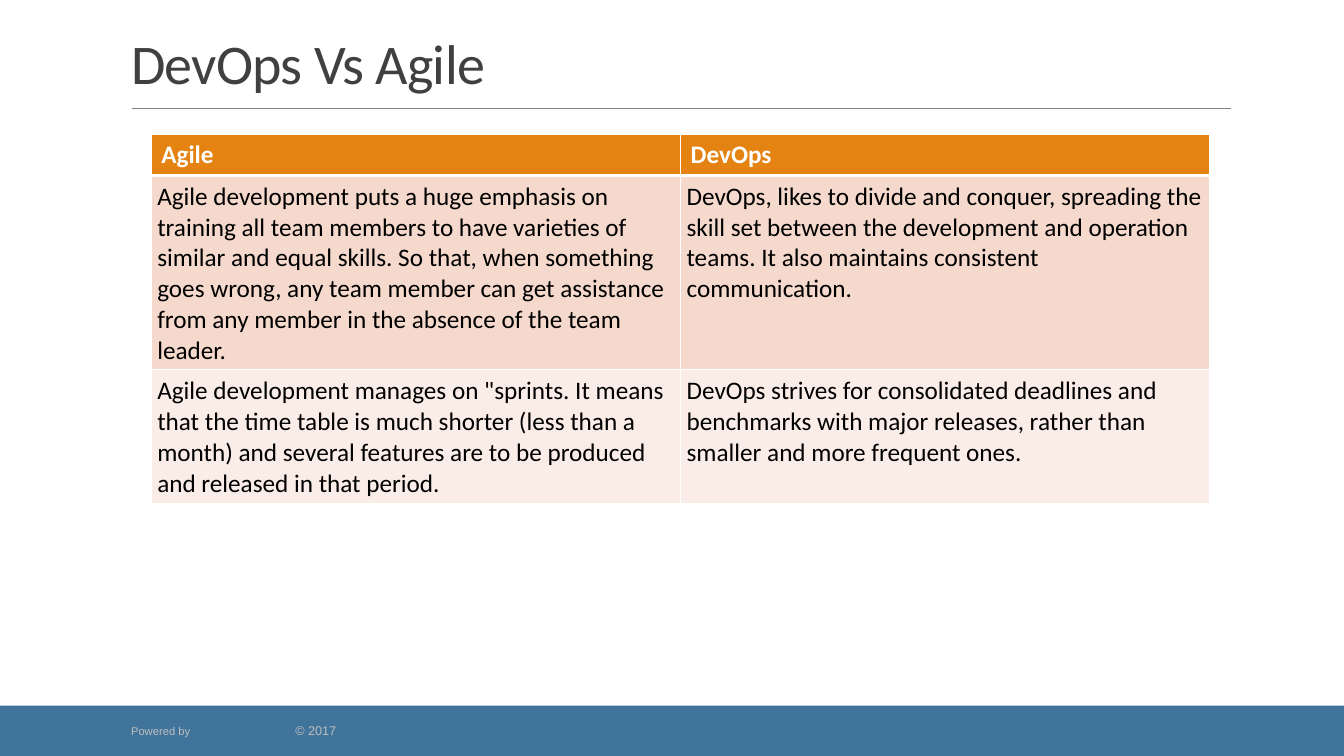
import pptx
import pptx.util
import pptx.dml.color
import pptx.enum.shapes
import pptx.enum.text
import pptx.oxml.ns
from lxml import etree

Inches, Pt = pptx.util.Inches, pptx.util.Pt
ANCHOR = pptx.enum.text.MSO_ANCHOR
qn = pptx.oxml.ns.qn

SLIDE_W, SLIDE_H = 13.33, 7.5
HEADER, BODY = "E48312", ["F5D9CC", "FAEDE7"]
ROWS = [
    ("Agile", "DevOps"),
    ("Agile development puts a huge emphasis on training all team members to have "
     "varieties of similar and equal skills. So that, when something goes wrong, any team "
     "member can get assistance from any member in the absence of the team leader.",
     "DevOps, likes to divide and conquer, spreading the skill set between the development "
     "and operation teams. It also maintains consistent communication."),
    ('Agile development manages on "sprints. It means that the time table is much shorter '
     "(less than a month) and several features are to be produced and released in that period.",
     "DevOps strives for consolidated deadlines and benchmarks with major releases, "
     "rather than smaller and more frequent ones."),
]
ROW_HEIGHTS = [0.41, 1.93, 1.33]


def rgb(color):
    return pptx.dml.color.RGBColor.from_string(color)


def inches(*lengths):
    return [Inches(v) for v in lengths]


def add_run(p, text, size=18, font="Calibri", color="000000", bold=False, spacing=None):
    r = p.add_run()
    r.text = text
    r.font.size, r.font.name, r.font.bold = Pt(size), font, bold
    r.font.color.rgb = rgb(color)
    if spacing is not None:
        r.font._element.set("spc", str(round(spacing * 100)))


def set_margins(target, margin):
    target.margin_left = target.margin_right = Inches(margin)
    target.margin_top = target.margin_bottom = Inches(margin)


def set_borders(cell, color="FFFFFF", **widths):
    """Draw cell borders; widths in points by side: L, R, T, B."""
    tc_pr = cell._tc.get_or_add_tcPr()
    for side in "LRTB":
        ln = etree.SubElement(tc_pr, qn(f"a:ln{side}"), w=str(Pt(widths.get(side, 1))))
        fill = etree.SubElement(ln, qn("a:solidFill"))
        etree.SubElement(fill, qn("a:srgbClr"), val=color)


def add_title(s, text, box):
    sp = s.shapes.title
    sp.left, sp.top, sp.width, sp.height = inches(*box)
    tf = sp.text_frame
    tf.auto_size = pptx.enum.text.MSO_AUTO_SIZE.NONE
    tf.vertical_anchor = ANCHOR.BOTTOM
    p = tf.paragraphs[0]
    p.alignment = pptx.enum.text.PP_ALIGN.LEFT
    p.line_spacing = 0.85
    add_run(p, text, size=40, color="404040", spacing=-0.5)


def add_rule(s, left, top, width):
    line = s.shapes.add_connector(pptx.enum.shapes.MSO_CONNECTOR.STRAIGHT,
                                  *inches(left, top, left + width, top))
    line.line.color.rgb = rgb("808080")
    line.line.width = Pt(0.5)
    etree.SubElement(line._element.spPr, qn("a:effectLst"))


def add_footer(s, box):
    left, top, width, height = box
    bar = s.shapes.add_shape(pptx.enum.shapes.MSO_SHAPE.RECTANGLE, *inches(*box))
    bar.shadow.inherit = False
    bar.fill.solid()
    bar.fill.fore_color.rgb = rgb("40749B")
    bar.line.fill.background()

    tf = s.shapes.add_textbox(*inches(left + 1.25, top + height / 4, 3.1, height / 2)).text_frame
    tf.word_wrap = True
    tf.vertical_anchor = ANCHOR.MIDDLE
    set_margins(tf, 0.05)
    p = tf.paragraphs[0]
    tabs = etree.SubElement(p._p.get_or_add_pPr(), qn("a:tabLst"))
    etree.SubElement(tabs, qn("a:tab"), pos=str(Inches(1.63)), algn="l")
    add_run(p, "Powered by", size=8, font="Arial", color="BFBFBF")
    add_run(p, "\t© 2017", size=9, font="Arial", color="BFBFBF")


def add_comparison(s, left, top, width):
    table = s.shapes.add_table(len(ROWS), len(ROWS[0]),
                               *inches(left, top, width, sum(ROW_HEIGHTS))).table
    for i, (texts, height) in enumerate(zip(ROWS, ROW_HEIGHTS)):
        table.rows[i].height = Inches(height)
        is_header = i == 0
        for j, text in enumerate(texts):
            cell = table.cell(i, j)
            set_borders(cell, T=3 if i == 1 else 1, B=3 if is_header else 1)
            cell.fill.solid()
            cell.fill.fore_color.rgb = rgb(HEADER if is_header else BODY[i - 1])
            if not is_header:
                set_margins(cell, 0.06)
            add_run(cell.text_frame.paragraphs[0], text, bold=is_header,
                    color="FFFFFF" if is_header else "000000")


def main():
    prs = pptx.Presentation()
    prs.slide_width, prs.slide_height = inches(SLIDE_W, SLIDE_H)
    s = prs.slides.add_slide(prs.slide_layouts[5])
    add_footer(s, (0, 7, SLIDE_W, 0.5))
    add_rule(s, 1.31, 1.08, 10.9)
    add_title(s, "DevOps Vs Agile", (1.2, 0.31, 11, 0.69))
    add_comparison(s, 1.5, 1.33, 10.5)
    prs.save("out.pptx")


if __name__ == "__main__":
    main()
